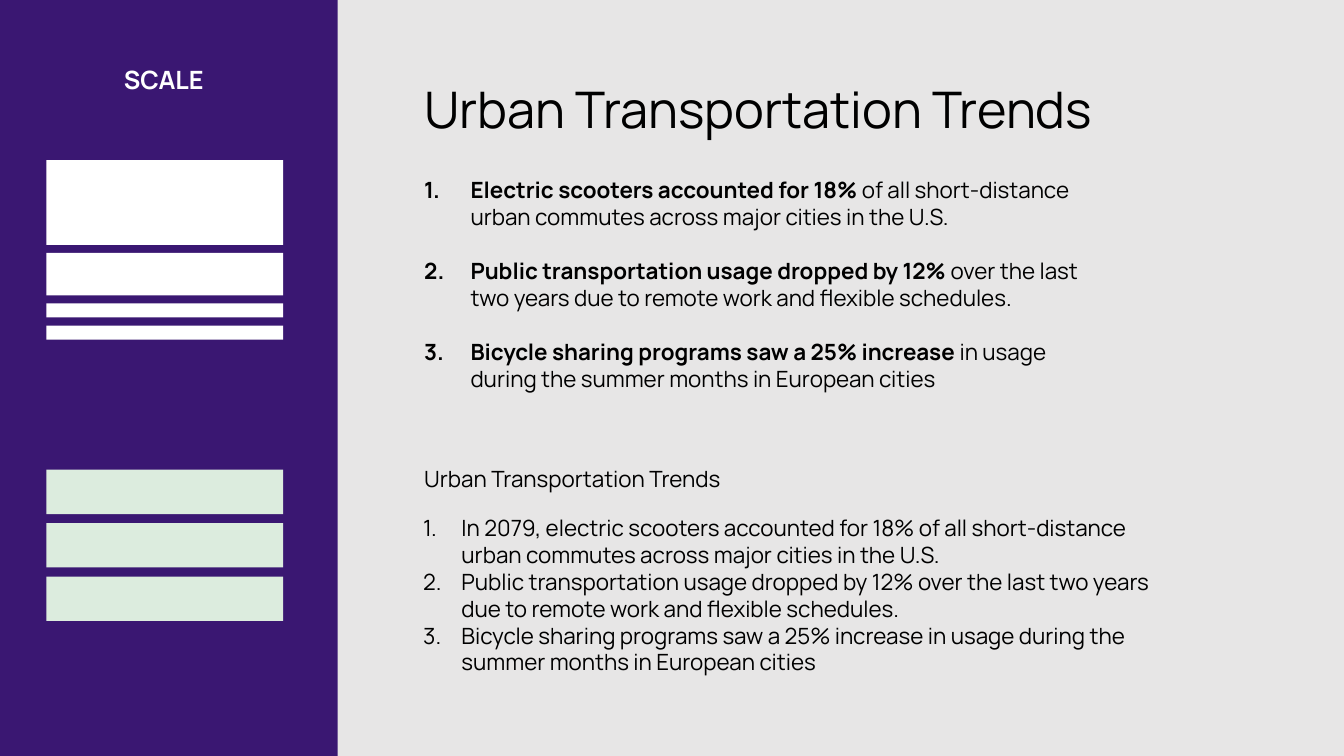
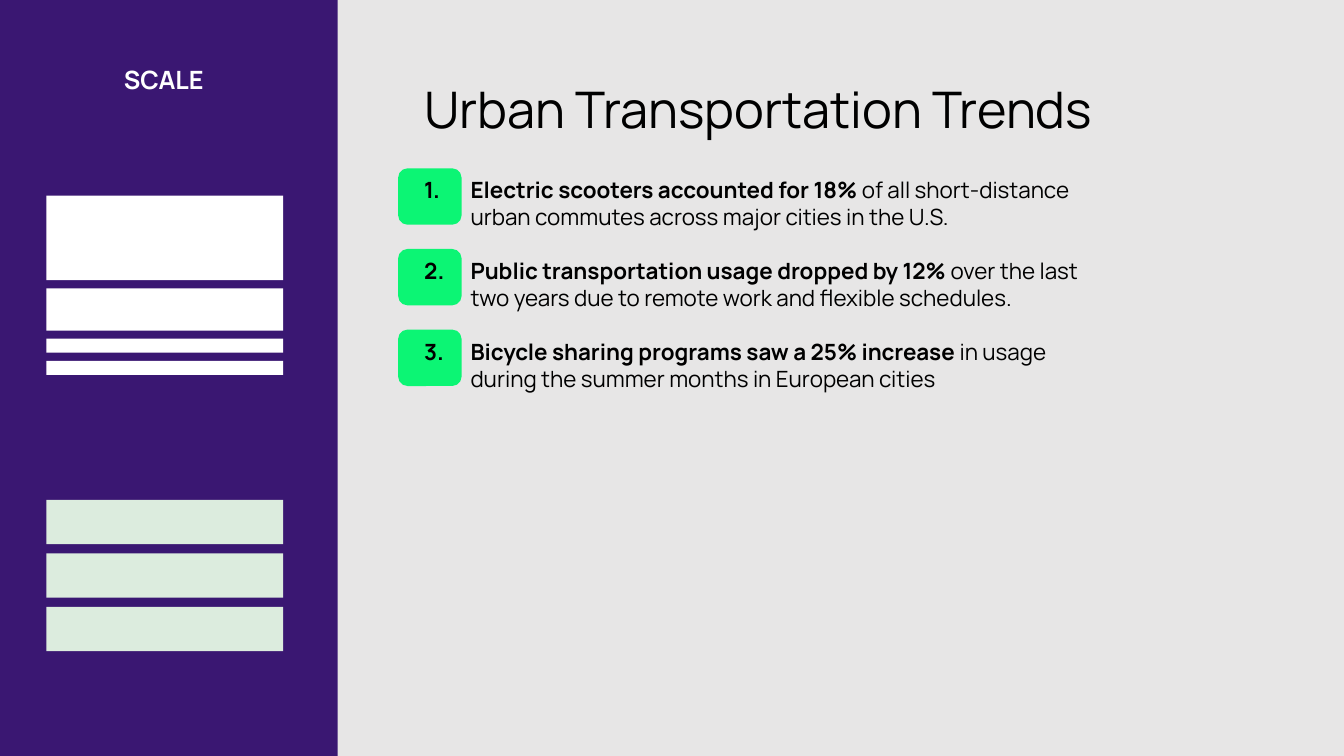
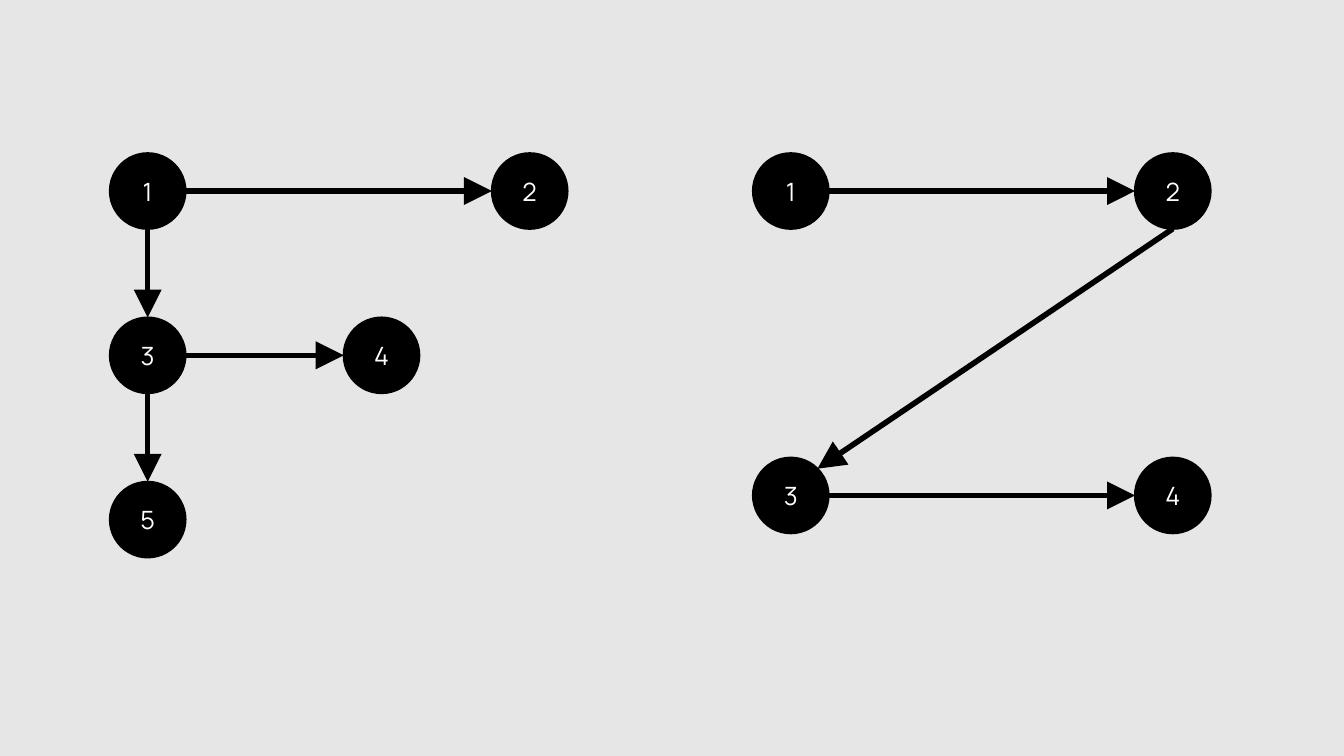
from collections.abc import Sequence
from math import cos, pi, sin
from typing import Any, NamedTuple

from lxml.etree import SubElement
from pptx import Presentation
from pptx.dml.color import RGBColor
from pptx.enum.shapes import MSO_CONNECTOR as Connector, MSO_SHAPE as Preset
from pptx.enum.text import MSO_ANCHOR as Anchor, MSO_AUTO_SIZE as AutoSize, PP_ALIGN as Align
from pptx.oxml.ns import qn
from pptx.util import Emu, Pt

# Shared style
EMU_PER_PX = 9144  # 100 px to the inch
FONT = "Manrope"
BACKGROUND = RGBColor(0xE7, 0xE6, 0xE6)
PURPLE = RGBColor(0x3A, 0x17, 0x72)
MINT = RGBColor(0xDC, 0xEC, 0xDE)
GREEN = RGBColor(0x0C, 0xF5, 0x74)
WHITE = RGBColor(0xFF, 0xFF, 0xFF)
BLACK = RGBColor(0, 0, 0)

TITLE = "Urban Transportation Trends"
NODE_SIZE = 75
BAR_GAP = 8
STRIPE_HEIGHTS = (84, 42, 14, 14)
MINT_HEIGHTS = (44, 44, 44)


class Box(NamedTuple):
    left: int
    top: int
    width: int
    height: int


class Fact(NamedTuple):
    lead: str
    rest: str
    second_line: str


class Node(NamedTuple):
    label: str
    left: int
    top: int


class Arrow(NamedTuple):
    start: int
    start_site: int
    end: int
    end_site: int


class Diagram(NamedTuple):
    nodes: Sequence[Node]
    arrows: Sequence[Arrow]


FACTS = (
    Fact("Electric scooters accounted for 18% ", "of all short-distance",
         "urban commutes across major cities in the U.S."),
    Fact("Public transportation usage dropped by 12% ", "over the last",
         "two years due to remote work and flexible schedules."),
    Fact("Bicycle sharing programs saw a 25% increase ", "in usage",
         "during the summer months in European cities"),
)
PLAIN_FACTS = (
    "In 2079, electric scooters accounted for 18% of all short-distance "
    "urban commutes across major cities in the U.S.",
    "Public transportation usage dropped by 12% over the last two years "
    "due to remote work and flexible schedules.",
    "Bicycle sharing programs saw a 25% increase in usage during the "
    "summer months in European cities",
)

# Ellipse connection sites run anticlockwise from the top in eighths
TOP, LEFT, BOTTOM, RIGHT, TOP_RIGHT = 0, 2, 4, 6, 7
F_PATTERN = Diagram(
    (Node("1", 109, 152), Node("2", 488, 152), Node("3", 109, 315),
     Node("4", 341, 315), Node("5", 109, 478)),
    (Arrow(0, RIGHT, 1, LEFT), Arrow(0, BOTTOM, 2, TOP),
     Arrow(2, RIGHT, 3, LEFT), Arrow(2, BOTTOM, 4, TOP)),
)
Z_PATTERN = Diagram(
    (Node("1", 747, 152), Node("2", 1126, 152), Node("3", 747, 454), Node("4", 1126, 454)),
    (Arrow(0, RIGHT, 1, LEFT), Arrow(1, BOTTOM, 2, TOP_RIGHT), Arrow(2, RIGHT, 3, LEFT)),
)


def px(length: float) -> Emu:
    return Emu(round(length * EMU_PER_PX))


def add_slide(presentation: Any) -> Any:
    slide = presentation.slides.add_slide(presentation.slide_layouts[6])
    slide.background.fill.solid()
    slide.background.fill.fore_color.rgb = BACKGROUND
    return slide


def add_block(shapes: Any, preset: Preset, box: Box, color: RGBColor) -> Any:
    shape = shapes.add_shape(preset, *map(px, box))
    shape.shadow.inherit = False
    shape.fill.solid()
    shape.fill.fore_color.rgb = color
    shape.line.fill.background()
    return shape


def add_text_frame(slide: Any, box: Box, **formats: Any) -> Any:
    frame = slide.shapes.add_textbox(*map(px, box)).text_frame
    for name, value in ({"word_wrap": True} | formats).items():
        setattr(frame, name, value)
    return frame


def add_run(paragraph: Any, text: str, color: RGBColor = BLACK, **formats: Any) -> None:
    run = paragraph.add_run()
    run.text = text
    for name, value in ({"name": FONT, "size": Pt(16), "bold": False} | formats).items():
        setattr(run.font, name, value)
    run.font.color.rgb = color


def add_numbered(frame: Any, index: int, indent: int) -> Any:
    paragraph = frame.paragraphs[0] if index == 0 else frame.add_paragraph()
    properties = paragraph._p.get_or_add_pPr()
    properties.set("marL", str(px(indent)))
    properties.set("indent", str(-px(indent)))
    SubElement(properties, qn("a:buFont"), typeface="+mj-lt")
    SubElement(properties, qn("a:buAutoNum"), type="arabicPeriod")
    return paragraph


def add_heading(slide: Any, box: Box, size: int) -> None:
    paragraph = add_text_frame(slide, box).paragraphs[0]
    paragraph.line_spacing = 0.9
    add_run(paragraph, TITLE, size=Pt(size))


def add_bars(shapes: Any, top: int, heights: Sequence[int], gap: int, color: RGBColor) -> None:
    for height in heights:
        add_block(shapes, Preset.RECTANGLE, Box(46, top, 235, height), color)
        top += height + gap


def add_scale_panel(slide: Any, stripes_top: int, mint_top: int) -> None:
    add_block(slide.shapes, Preset.RECTANGLE, Box(0, 0, 335, 750), PURPLE)
    frame = add_text_frame(slide, Box(113, 59, 99, 40), word_wrap=False,
                           auto_size=AutoSize.SHAPE_TO_FIT_TEXT)
    frame.paragraphs[0].alignment = Align.CENTER
    add_run(frame.paragraphs[0], "SCALE", WHITE, size=Pt(18), bold=True)
    add_bars(slide.shapes.add_group_shape().shapes, stripes_top, STRIPE_HEIGHTS, BAR_GAP, WHITE)
    add_bars(slide.shapes, mint_top, MINT_HEIGHTS, BAR_GAP + 1, MINT)


def add_facts(slide: Any) -> None:
    add_heading(slide, Box(411, 79, 806, 69), 36)
    frame = add_text_frame(slide, Box(411, 169, 749, 226), vertical_anchor=Anchor.MIDDLE,
                           auto_size=AutoSize.SHAPE_TO_FIT_TEXT)
    for index, fact in enumerate(FACTS):
        paragraph = add_numbered(frame, index, 46)
        if index:
            paragraph.space_before = Pt(19.3)
        add_run(paragraph, fact.lead, bold=True)
        add_run(paragraph, fact.rest)
        paragraph.add_line_break()
        add_run(paragraph, fact.second_line)


def add_plain_facts(slide: Any) -> None:
    add_heading(slide, Box(411, 460, 455, 45), 16)
    frame = add_text_frame(slide, Box(410, 504, 749, 172), vertical_anchor=Anchor.MIDDLE,
                           auto_size=AutoSize.SHAPE_TO_FIT_TEXT)
    for index, text in enumerate(PLAIN_FACTS):
        add_run(add_numbered(frame, index, 38), text)


def add_node(slide: Any, node: Node) -> Any:
    box = Box(node.left, node.top, NODE_SIZE, NODE_SIZE)
    shape = add_block(slide.shapes, Preset.OVAL, box, BLACK)
    shape.line.color.rgb = BLACK
    shape.line.width = Pt(1.5)
    shape.text_frame.vertical_anchor = Anchor.MIDDLE
    paragraph = shape.text_frame.paragraphs[0]
    paragraph.alignment = Align.CENTER
    add_run(paragraph, node.label, WHITE, size=Pt(18))
    return shape


def site_point(node: Node, site: int) -> tuple[Emu, Emu]:
    radius, angle = NODE_SIZE / 2, site * pi / 4
    return (px(node.left + radius - radius * sin(angle)),
            px(node.top + radius - radius * cos(angle)))


def add_diagram(slide: Any, diagram: Diagram) -> None:
    shapes = [add_node(slide, node) for node in diagram.nodes]
    for arrow in diagram.arrows:
        connector = slide.shapes.add_connector(
            Connector.STRAIGHT,
            *site_point(diagram.nodes[arrow.start], arrow.start_site),
            *site_point(diagram.nodes[arrow.end], arrow.end_site))
        connector.line.color.rgb = BLACK
        connector.line.width = Pt(4)
        SubElement(connector.line._get_or_add_ln(), qn("a:tailEnd"),
                   type="triangle", w="lg", len="lg")
        SubElement(connector._element.spPr, qn("a:effectLst"))
        # Join both ends to the circles
        joins = connector._element.nvCxnSpPr.cNvCxnSpPr
        for tag, index, site in (("a:stCxn", arrow.start, arrow.start_site),
                                 ("a:endCxn", arrow.end, arrow.end_site)):
            SubElement(joins, qn(tag), id=str(shapes[index].shape_id), idx=str(site))


def main() -> None:
    presentation = Presentation()
    presentation.slide_width = px(1333.33)
    presentation.slide_height = px(750)

    # Slide 1: facts with and without emphasis
    slide = add_slide(presentation)
    add_scale_panel(slide, 159, 466)
    add_plain_facts(slide)
    add_facts(slide)

    # Slide 2: facts with highlighted numbers
    slide = add_slide(presentation)
    for index in range(len(FACTS)):
        add_block(slide.shapes, Preset.ROUNDED_RECTANGLE,
                  Box(395, 167 + 80 * index, 63, 56), GREEN)
    add_scale_panel(slide, 194, 496)
    add_facts(slide)

    # Slide 3: reading patterns
    slide = add_slide(presentation)
    for diagram in (F_PATTERN, Z_PATTERN):
        add_diagram(slide, diagram)

    presentation.save("out.pptx")


if __name__ == "__main__":
    main()
